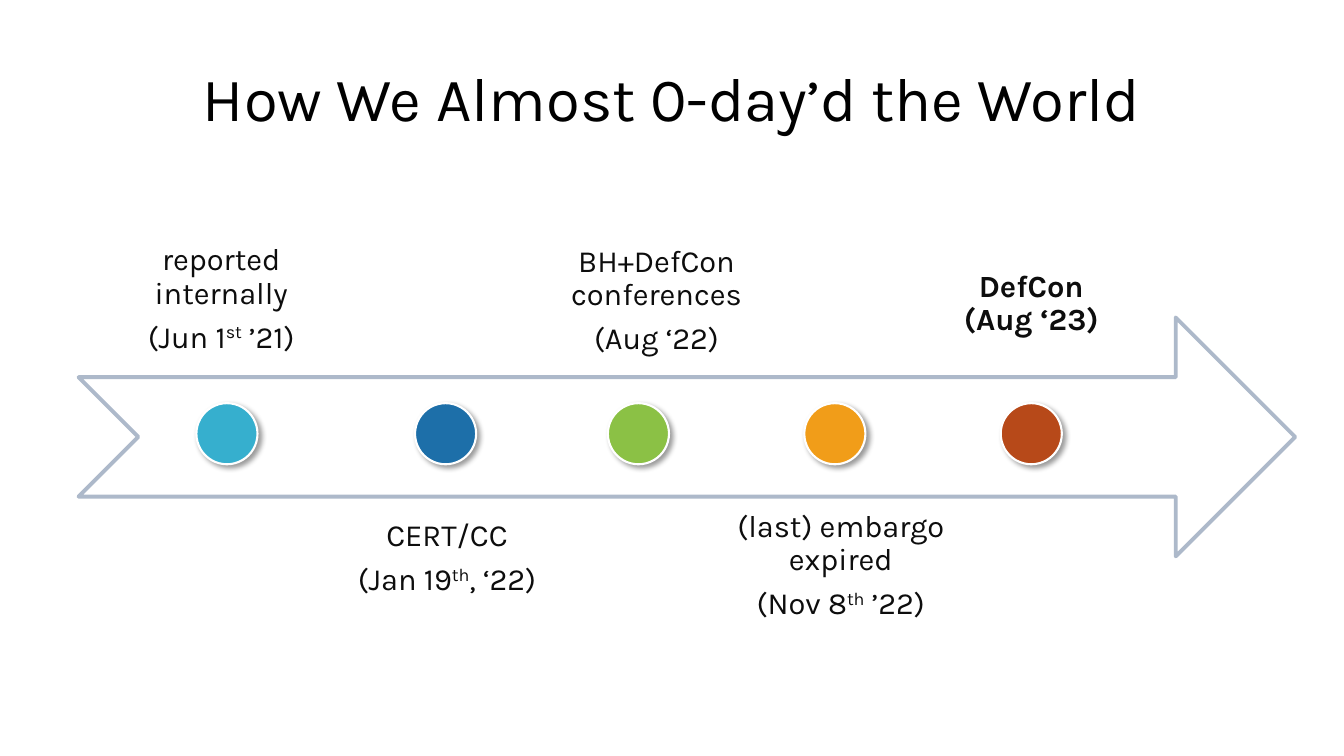
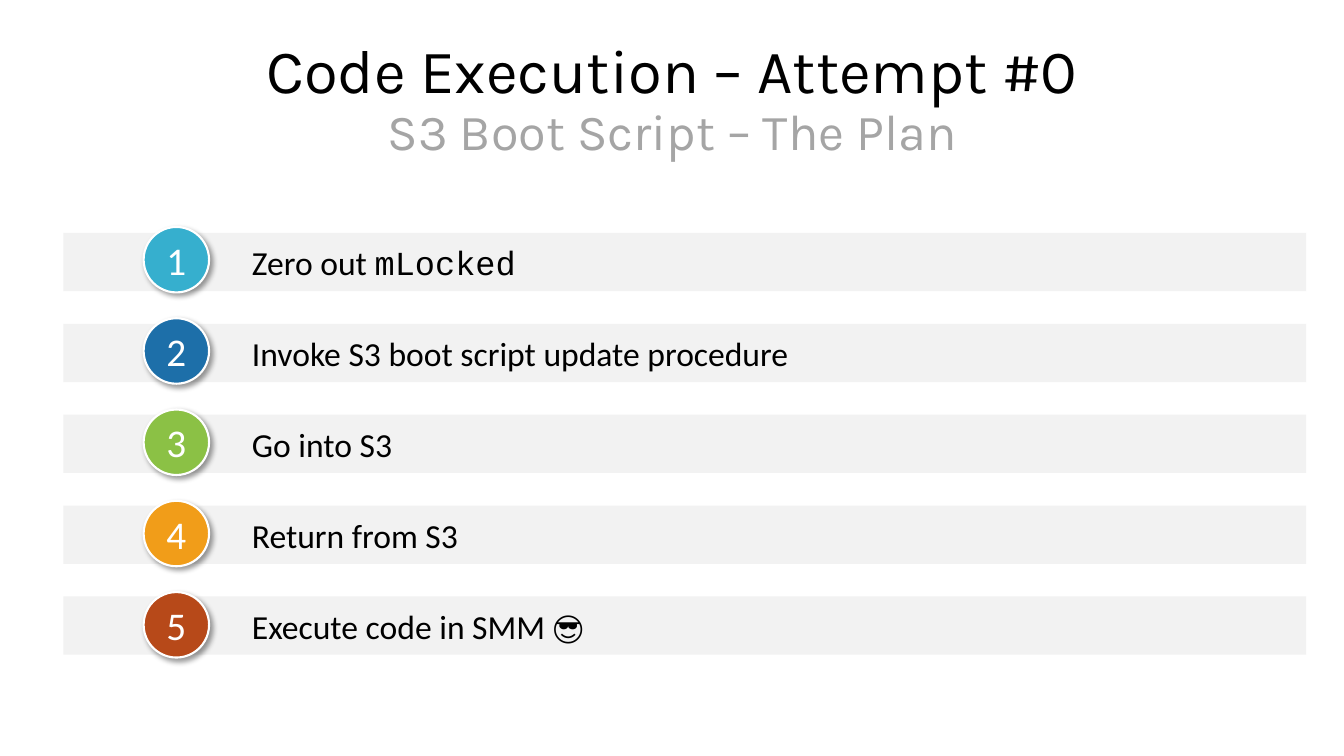
from lxml import etree
from pptx import Presentation
from pptx.dml.color import RGBColor
from pptx.enum.shapes import MSO_SHAPE
from pptx.enum.text import MSO_ANCHOR, MSO_AUTO_SIZE, PP_ALIGN
from pptx.oxml.ns import nsdecls
from pptx.util import Cm, Pt

TOP, MIDDLE, BOTTOM = MSO_ANCHOR.TOP, MSO_ANCHOR.MIDDLE, MSO_ANCHOR.BOTTOM
LEFT, CENTER = PP_ALIGN.LEFT, PP_ALIGN.CENTER
NO_AUTOFIT = MSO_AUTO_SIZE.NONE
OVAL, RECTANGLE = MSO_SHAPE.OVAL, MSO_SHAPE.RECTANGLE
NOTCHED_ARROW = MSO_SHAPE.NOTCHED_RIGHT_ARROW

BLACK, WHITE, INK = "000000", "FFFFFF", "0D0D0D"
GRAY, BAR_GRAY, ARROW_LINE = "A5A5A5", "F2F2F2", "ADB9CA"
STEP_COLORS = ["36AFCE", "1D6FA9", "8BC145", "F19D19", "B74919"]

TITLE_FONT = {"name": "Karla", "size": Pt(44)}
SUBTITLE_FONT = {"name": "Karla", "size": Pt(36)}
LABEL_FONT = {"name": "Karla", "size": Pt(22)}
STEP_FONT = {"name": "Calibri", "size": Pt(24)}
CODE_FONT = {"name": "Courier New", "size": Pt(24)}
NUMBER_FONT = {"name": "Calibri", "size": Pt(28)}

SHADOW = (
    f'<a:effectLst {nsdecls("a")}><a:outerShdw blurRad="50800" dist="38100" '
    'dir="2700000" algn="tl" rotWithShape="0"><a:srgbClr val="000000">'
    '<a:alpha val="40000"/></a:srgbClr></a:outerShdw></a:effectLst>'
)


def paint(fill, color):
    fill.solid()
    fill.fore_color.rgb = RGBColor.from_string(color)


def add_text(paragraph, text, font_format, color):
    run = paragraph.add_run()
    run.text = text
    for name, value in font_format.items():
        setattr(run.font, name, value)
    paint(run.font.fill, color)
    return run


presentation = Presentation()
presentation.slide_width = Cm(33.87)
presentation.slide_height = Cm(19.05)
title_layout = presentation.slide_layouts[5]

titles = [
    ("How We Almost 0-day’d the World", None, 1.73, 2.97),
    ("Code Execution – Attempt #0", "S3 Boot Script – The Plan", 1.02, 3.68),
]
for heading, subtitle, top, height in titles:
    slide = presentation.slides.add_slide(title_layout)
    title = slide.shapes.title
    title.left, title.top, title.width, title.height = Cm(2.34), Cm(top), Cm(29.21), Cm(height)
    frame = title.text_frame
    frame.auto_size = NO_AUTOFIT
    frame.vertical_anchor = TOP
    frame.margin_left = frame.margin_right = frame.margin_top = frame.margin_bottom = 0
    paragraph = frame.paragraphs[0]
    paragraph.alignment = CENTER
    paragraph.line_spacing = 0.9
    add_text(paragraph, heading, TITLE_FONT, BLACK)
    if subtitle:
        paragraph.add_line_break()
        add_text(paragraph, subtitle, SUBTITLE_FONT, GRAY)

timeline_slide, plan_slide = presentation.slides

arrow = timeline_slide.shapes.add_shape(NOTCHED_ARROW, Cm(1.98), Cm(8), Cm(30.66), Cm(6.02))
arrow.shadow.inherit = False
paint(arrow.fill, WHITE)
paint(arrow.line.fill, ARROW_LINE)
arrow.line.width = Pt(2.75)

events = [
    (1.98, 3.48, 7.19, 6.02, BOTTOM, False, 7.7, ["reported internally"], ["(Jun 1", "st", " ’21)"]),
    (7.67, 12.55, 7.19, 3.43, TOP, False, 7.7, ["CERT/CC"], ["(Jan 19", "th", ", ‘22)"]),
    (12.95, 5.64, 7.19, 6.02, TOP, False, 7.7, ["BH+DefCon conferences"], ["(Aug ‘22)"]),
    (17.15, 12.32, 8.08, 4.8, TOP, False, 7.7, ["(last) embargo expired"], ["(Nov 8", "th", " ’22)"]),
    (23.6, 6.6, 4.78, 2.46, BOTTOM, True, 0, ["DefCon"], ["(Aug ‘23)"]),
]
for left, top, width, height, anchor, bold, gap, event, date in events:
    label = timeline_slide.shapes.add_textbox(Cm(left), Cm(top), Cm(width), Cm(height))
    frame = label.text_frame
    frame.word_wrap = True
    frame.vertical_anchor = anchor
    frame.margin_left = frame.margin_right = frame.margin_top = frame.margin_bottom = Cm(0.56)
    date_paragraph = frame.add_paragraph()
    date_paragraph.space_before = Pt(gap)
    for paragraph, pieces in zip(frame.paragraphs, (event, date)):
        paragraph.alignment = CENTER
        paragraph.line_spacing = 0.9
        for piece in pieces:
            run = add_text(paragraph, piece, {**LABEL_FONT, "bold": bold}, INK)
            if piece in ("st", "th"):
                run._r.get_or_add_rPr().set("baseline", "30000")

steps = [
    [("Zero out ", STEP_FONT), ("mLocked", CODE_FONT)],
    [("Invoke S3 boot script update procedure", STEP_FONT)],
    [("Go into S3", STEP_FONT)],
    [("Return from S3", STEP_FONT)],
    [("Execute code in SMM 😎", STEP_FONT)],
]
for index, pieces in enumerate(steps):
    bar = plan_slide.shapes.add_shape(
        RECTANGLE, Cm(1.6), Cm(5.87 + 2.29 * index), Cm(31.32), Cm(1.47))
    bar.shadow.inherit = False
    paint(bar.fill, BAR_GRAY)
    bar.line.fill.background()
    frame = bar.text_frame
    frame.vertical_anchor = MIDDLE
    frame.margin_left = Cm(4.75)
    frame.margin_top = frame.margin_bottom = 0
    paragraph = frame.paragraphs[0]
    paragraph.alignment = LEFT
    for text, font_format in pieces:
        add_text(paragraph, text, font_format, BLACK)

dots = []
for index, (left, color) in enumerate(zip([4.95, 10.46, 15.32, 20.27, 25.22], STEP_COLORS)):
    dots.append((timeline_slide, left, 10.16, 1.54, color, None))
    dots.append((plan_slide, 3.62, 5.72 + 2.3 * index, 1.65, color, str(index + 1)))

for slide, left, top, size, color, number in dots:
    dot = slide.shapes.add_shape(OVAL, Cm(left), Cm(top), Cm(size), Cm(size))
    paint(dot.fill, color)
    paint(dot.line.fill, WHITE)
    dot.line.width = Pt(1.5)
    dot._element.spPr.append(etree.fromstring(SHADOW))
    if number:
        frame = dot.text_frame
        frame.vertical_anchor = MIDDLE
        frame.margin_left = frame.margin_right = frame.margin_top = frame.margin_bottom = 0
        paragraph = frame.paragraphs[0]
        paragraph.alignment = CENTER
        add_text(paragraph, number, NUMBER_FONT, WHITE)

presentation.save("out.pptx")
